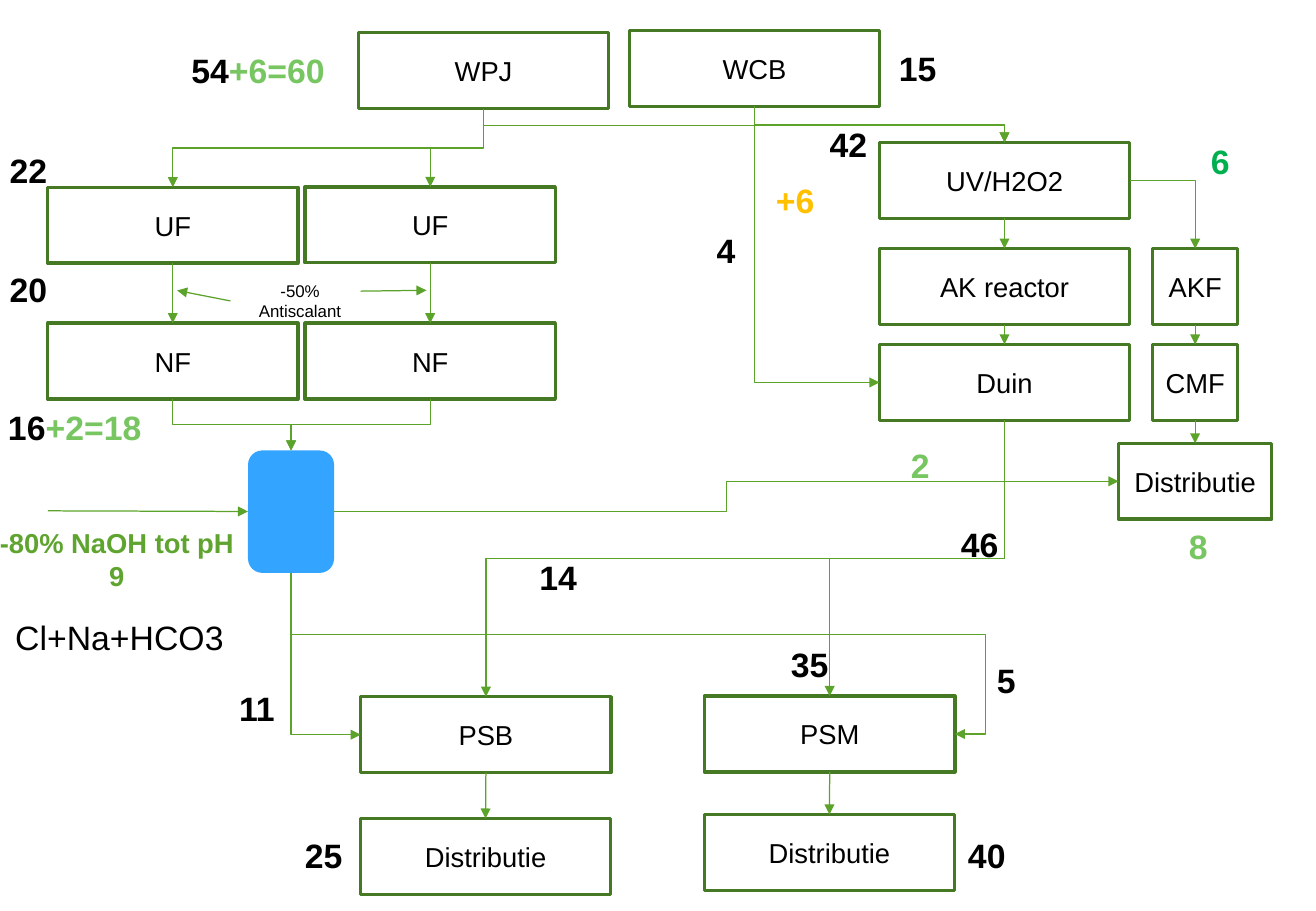
"""Build a flow diagram of a water treatment network with volumes per branch."""
import dataclasses
import enum
from typing import Any

import lxml.etree
import pptx
import pptx.dml.color
import pptx.enum.shapes
import pptx.enum.text
import pptx.oxml.ns
import pptx.shapes.autoshape
import pptx.shapes.connector
import pptx.slide
import pptx.text.text
import pptx.util

Pt = pptx.util.Pt
RGBColor = pptx.dml.color.RGBColor
qn = pptx.oxml.ns.qn
Point = tuple[float, float]

BLACK = RGBColor(0x00, 0x00, 0x00)
WHITE = RGBColor(0xFF, 0xFF, 0xFF)
DARK_GREEN = RGBColor(0x46, 0x79, 0x23)
FLOW_GREEN = RGBColor(0x5B, 0xA3, 0x2B)
DOSING_GREEN = RGBColor(0x5E, 0xA4, 0x2F)
LIGHT_GREEN = RGBColor(0x77, 0xC6, 0x62)
BRIGHT_GREEN = RGBColor(0x00, 0xB0, 0x50)
AMBER = RGBColor(0xFF, 0xC0, 0x00)
TANK_BLUE = RGBColor(0x33, 0xA4, 0xFF)

BOX_FRAME = dict(word_wrap=True, margin_left=0, margin_right=0,
                 vertical_anchor=pptx.enum.text.MSO_ANCHOR.MIDDLE)
LABEL_FRAME = dict(word_wrap=True, auto_size=pptx.enum.text.MSO_AUTO_SIZE.SHAPE_TO_FIT_TEXT)


class Side(enum.IntEnum):
    """Connection sites of a rectangle."""
    TOP = 0
    LEFT = 1
    BOTTOM = 2
    RIGHT = 3


@dataclasses.dataclass(frozen=True)
class Box:
    """A process step."""
    text: str
    left: float
    top: float
    width: float = 148.4
    height: float = 45

    def site(self, side: Side) -> Point:
        """Return the middle of one side."""
        across, down = {Side.TOP: (0.5, 0), Side.LEFT: (0, 0.5),
                        Side.BOTTOM: (0.5, 1), Side.RIGHT: (1, 0.5)}[side]
        return self.left + across * self.width, self.top + down * self.height


@dataclasses.dataclass(frozen=True)
class Flow:
    """An arrow between two boxes; without a preset it is straight."""
    source: str
    target: str
    leaves: Side = Side.BOTTOM
    enters: Side = Side.TOP
    preset: str = ""
    adjustments: tuple[int, ...] = ()


@dataclasses.dataclass(frozen=True)
class Label:
    """Free text made of coloured pieces."""
    pieces: tuple[tuple[str, RGBColor], ...]
    left: float
    top: float
    width: float = 41
    height: float = 31.6
    size: float = 20
    bold: bool = True


BOXES = {
    "wpj": Box("WPJ", 212.4, 19.4),
    "wcb": Box("WCB", 373, 18),
    "uf_left": Box("UF", 28.2, 111),
    "uf_right": Box("UF", 180.8, 110.8),
    "nf_left": Box("NF", 28.2, 191.6),
    "nf_right": Box("NF", 180.8, 191.6),
    "uv": Box("UV/H2O2", 521.2, 84.4),
    "reactor": Box("AK reactor", 521.2, 147.4),
    "duin": Box("Duin", 521.2, 204.2),
    "akf": Box("AKF", 683.2, 147.4, 50.4),
    "cmf": Box("CMF", 683.2, 204.2, 50.4),
    "out_right": Box("Distributie", 663, 262.8, 90.8),
    "psb": Box("PSB", 213.8, 413),
    "psm": Box("PSM", 417.6, 412.6),
    "out_psb": Box("Distributie", 213.6, 485.2),
    "out_psm": Box("Distributie", 417.4, 482.8),
    "tank": Box("", 147, 267, 51, 72.6),
}

FLOWS = (
    Flow("uf_left", "nf_left"), Flow("uf_right", "nf_right"),
    Flow("uv", "reactor"), Flow("reactor", "duin"),
    Flow("akf", "cmf"), Flow("cmf", "out_right"),
    Flow("psb", "out_psb"), Flow("psm", "out_psm"),
    *(Flow(source, target, preset="bentConnector3") for source, target in (
        ("wpj", "uf_left"), ("wpj", "uf_right"), ("wpj", "uv"), ("wcb", "uv"),
        ("nf_left", "tank"), ("nf_right", "tank"), ("duin", "psb"), ("duin", "psm"))),
    Flow("wcb", "duin", enters=Side.LEFT, preset="bentConnector2"),
    Flow("tank", "psb", enters=Side.LEFT, preset="bentConnector2"),
    Flow("tank", "psm", enters=Side.RIGHT, preset="bentConnector4", adjustments=(38300, 104600)),
    Flow("uv", "akf", leaves=Side.RIGHT, preset="bentConnector2"),
    Flow("tank", "out_right", leaves=Side.RIGHT, enters=Side.LEFT, preset="bentConnector3"),
)

DOSING_ARROWS = (((28.4, 302.8), (147, 303.2)), ((213.8, 172.6), (252.8, 172.1)),
                 ((136.6, 178.4), (105, 172.2)))

LABELS = (
    Label((("54", BLACK), ("+6=60", LIGHT_GREEN)), 90, 26, 126),
    Label((("16", BLACK), ("+2=18", LIGHT_GREEN)), -17.2, 237.6, 123),
    Label((("-80% NaOH tot pH 9", DOSING_GREEN),), -8.6, 308.2, 155.6, 46.8, 16.2),
    Label((("-50% Antiscalant", BLACK),), 136.8, 162.8, 82, size=10, bold=False),
    Label((("Cl+Na+HCO3", BLACK),), -8, 362.2, 157.6, bold=False),
    *(Label(((text, color),), left, top) for text, color, left, top in (
        ("15", BLACK, 523.4, 24.6), ("22", BLACK, -3.6, 85), ("20", BLACK, -3.6, 155.6),
        ("42", BLACK, 482.4, 69.8), ("4", BLACK, 409.8, 132.6), ("14", BLACK, 310.4, 326.2),
        ("11", BLACK, 131.8, 404), ("5", BLACK, 576, 387.4), ("46", BLACK, 560.2, 306.8),
        ("35", BLACK, 459.4, 378), ("25", BLACK, 171.4, 491), ("40", BLACK, 564.4, 491),
        ("6", BRIGHT_GREEN, 702.8, 80), ("2", LIGHT_GREEN, 525, 260),
        ("8", LIGHT_GREEN, 689.8, 308.2), ("+6", AMBER, 450.8, 103))),
)


def apply_format(target: Any, values: dict[str, Any]) -> None:
    """Set each named attribute."""
    for name, value in values.items():
        setattr(target, name, value)


def add_run(paragraph: pptx.text.text._Paragraph, text: str, size: float,
            color: RGBColor, bold: bool) -> None:
    """Append formatted text to a centred paragraph."""
    paragraph.alignment = pptx.enum.text.PP_ALIGN.CENTER
    run = paragraph.add_run()
    run.text = text
    apply_format(run.font, dict(name="Arial", size=Pt(size), bold=bold))
    run.font.color.rgb = color


def draw_box(slide: pptx.slide.Slide, box: Box) -> pptx.shapes.autoshape.Shape:
    """Draw a named step as a rectangle, or the unnamed tank as a rounded one."""
    kinds = pptx.enum.shapes.MSO_SHAPE
    shape = slide.shapes.add_shape(kinds.RECTANGLE if box.text else kinds.ROUNDED_RECTANGLE,
                                   Pt(box.left), Pt(box.top), Pt(box.width), Pt(box.height))
    shape.shadow.inherit = False
    shape.fill.solid()
    shape.fill.fore_color.rgb = WHITE if box.text else TANK_BLUE
    if box.text:
        shape.line.color.rgb = DARK_GREEN
        shape.line.width = Pt(2)
        apply_format(shape.text_frame, BOX_FRAME)
        add_run(shape.text_frame.paragraphs[0], box.text, 16.2, BLACK, False)
    else:
        shape.line.fill.background()
    return shape


def draw_arrow(slide: pptx.slide.Slide, start: Point, end: Point,
               bent: bool = False) -> pptx.shapes.connector.Connector:
    """Draw a thin green arrow."""
    kinds = pptx.enum.shapes.MSO_CONNECTOR
    connector = slide.shapes.add_connector(kinds.ELBOW if bent else kinds.STRAIGHT,
                                           *(Pt(value) for value in (*start, *end)))
    connector.line.color.rgb = FLOW_GREEN
    connector.line.width = Pt(0.75)
    properties = connector.element.spPr
    lxml.etree.SubElement(properties.find(qn("a:ln")), qn("a:tailEnd"), type="triangle")
    lxml.etree.SubElement(properties, qn("a:effectLst"))
    return connector


def draw_flow(slide: pptx.slide.Slide, flow: Flow,
              shapes: dict[str, pptx.shapes.autoshape.Shape]) -> None:
    """Draw a flow; a bent one that leaves downwards is a turned elbow."""
    start = BOXES[flow.source].site(flow.leaves)
    end = BOXES[flow.target].site(flow.enters)
    if not flow.preset:
        connector = draw_arrow(slide, start, end)
        connector.begin_connect(shapes[flow.source], flow.leaves)
        connector.end_connect(shapes[flow.target], flow.enters)
        return
    turned = flow.leaves is Side.BOTTOM
    rightwards = end[0] > start[0]
    if turned:
        center_x, center_y = (start[0] + end[0]) / 2, (start[1] + end[1]) / 2
        half_width = (end[1] - start[1]) / 2 * (-1 if rightwards else 1)
        half_height = abs(end[0] - start[0]) / 2
        start = center_x - half_width, center_y - half_height
        end = center_x + half_width, center_y + half_height
    properties = draw_arrow(slide, start, end, bent=True).element.spPr
    if turned:
        properties.find(qn("a:xfrm")).set("rot", "16200000" if rightwards else "5400000")
    geometry = properties.find(qn("a:prstGeom"))
    geometry.set("prst", flow.preset)
    for number, value in enumerate(flow.adjustments, 1):
        lxml.etree.SubElement(geometry.find(qn("a:avLst")), qn("a:gd"),
                              name=f"adj{number}", fmla=f"val {value}")


def draw_label(slide: pptx.slide.Slide, label: Label) -> None:
    """Draw free text."""
    shape = slide.shapes.add_textbox(Pt(label.left), Pt(label.top),
                                     Pt(label.width), Pt(label.height))
    apply_format(shape.text_frame, LABEL_FRAME)
    for text, color in label.pieces:
        add_run(shape.text_frame.paragraphs[0], text, label.size, color, label.bold)


def main() -> None:
    """Build and save the presentation."""
    presentation = pptx.Presentation()
    apply_format(presentation, dict(slide_width=Pt(780), slide_height=Pt(540)))
    slide = presentation.slides.add_slide(presentation.slide_layouts[6])
    shapes = {name: draw_box(slide, box) for name, box in BOXES.items()}
    for flow in FLOWS:
        draw_flow(slide, flow, shapes)
    for start, end in DOSING_ARROWS:
        draw_arrow(slide, start, end)
    for label in LABELS:
        draw_label(slide, label)
    presentation.save("out.pptx")


if __name__ == "__main__":
    main()
